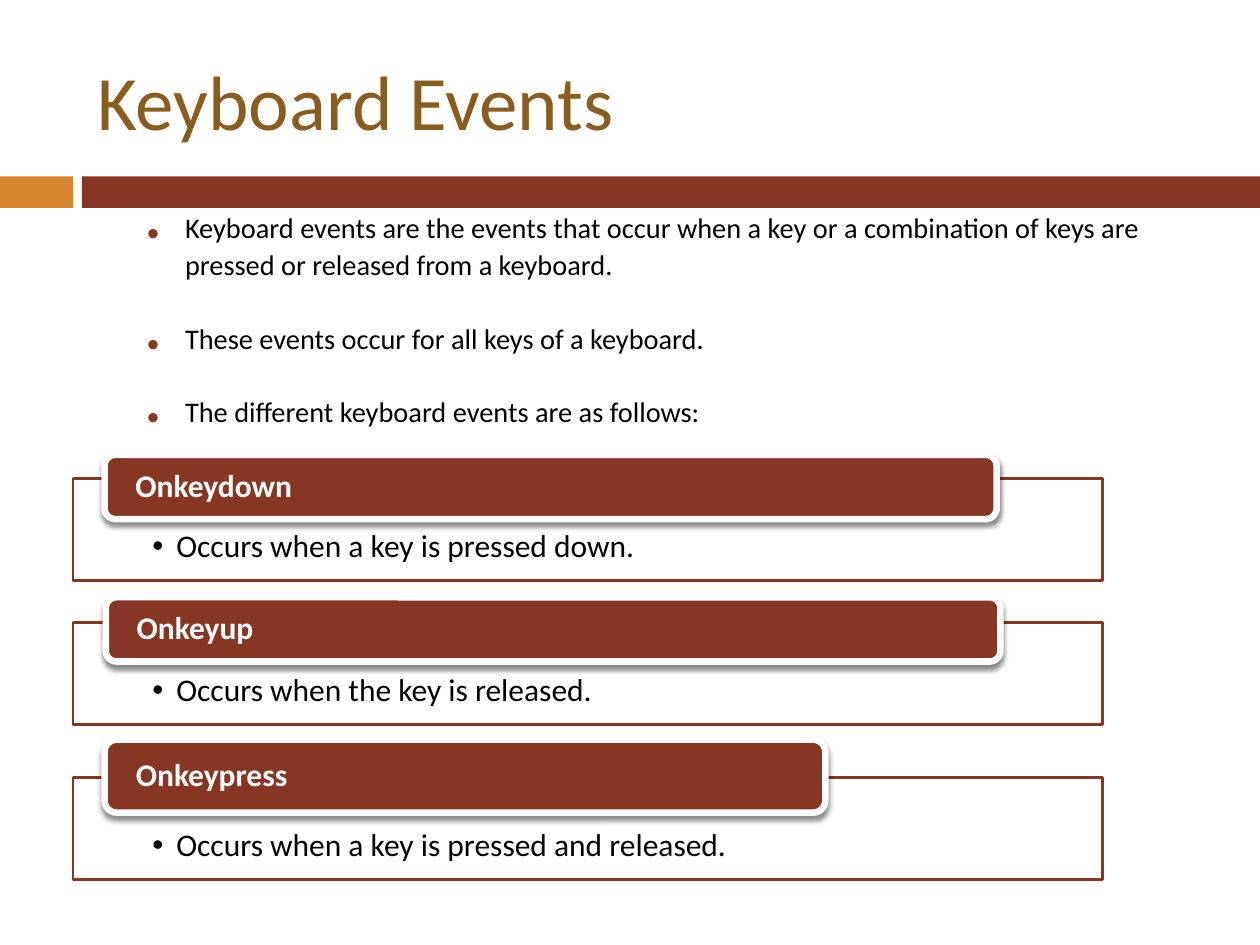
from lxml import etree
from pptx import Presentation
from pptx.dml.color import RGBColor
from pptx.enum.shapes import MSO_SHAPE
from pptx.enum.text import MSO_ANCHOR, PP_ALIGN
from pptx.oxml.ns import qn
from pptx.util import Inches, Pt

RECT = MSO_SHAPE.RECTANGLE
ROUNDED = MSO_SHAPE.ROUNDED_RECTANGLE
LEFT = PP_ALIGN.LEFT
TOP, MIDDLE = MSO_ANCHOR.TOP, MSO_ANCHOR.MIDDLE

RUST = RGBColor(0x87, 0x36, 0x24)
ORANGE = RGBColor(0xD6, 0x86, 0x2D)
BROWN = RGBColor(0x89, 0x5D, 0x1D)
WHITE = RGBColor(0xFF, 0xFF, 0xFF)
BLACK = RGBColor(0x00, 0x00, 0x00)

POINTS = [
    "Keyboard events are the events that occur when a key or a combination of keys are pressed or released from a keyboard.",
    "These events occur for all keys of a keyboard.",
    "The different keyboard events are as follows:",
]
EVENTS = [
    ("Onkeydown", "Occurs when a key is pressed down.", 3.8, (0.83, 3.61, 7.08, 0.51)),
    ("Onkeyup", "Occurs when the key is released.", 4.94, (0.84, 4.74, 7.1, 0.51)),
    ("Onkeypress", "Occurs when a key is pressed and released.", 6.17, (0.83, 5.87, 5.72, 0.58)),
]


def add_xml(parent, tag, **attributes):
    return etree.SubElement(parent, qn(tag), attributes)


class SlideBuilder:
    font = "Calibri"

    def __init__(self, slide):
        self.slide = slide

    def style(self, p, size, color, bold=False):
        p.alignment = LEFT
        p.font.name = self.font
        p.font.size = Pt(size)
        p.font.color.rgb = color
        p.font.bold = bold

    def bullet(self, p, margin, hanging, color, percent):
        pPr = p._p.get_or_add_pPr()
        pPr.set("marL", str(Inches(margin)))
        pPr.set("indent", str(-Inches(hanging)))
        add_xml(add_xml(pPr, "a:buClr"), "a:srgbClr", val=str(color))
        add_xml(pPr, "a:buSzPct", val=str(percent * 1000))
        add_xml(pPr, "a:buFont", typeface="Arial")
        add_xml(pPr, "a:buChar", char="•")

    def title(self, text, box):
        sp = self.slide.shapes.title
        sp.left, sp.top, sp.width, sp.height = map(Inches, box)
        tf = sp.text_frame
        tf.text = text
        tf.vertical_anchor = MIDDLE
        self.style(tf.paragraphs[0], 44, BROWN)

    def block(self, kind, box, fill, line=None, weight=0):
        sp = self.slide.shapes.add_shape(kind, *map(Inches, box))
        sp.shadow.inherit = False
        sp.fill.solid()
        sp.fill.fore_color.rgb = fill
        if line is None:
            sp.line.fill.background()
        else:
            sp.line.color.rgb = line
            sp.line.width = Pt(weight)
        return sp

    def soft_shadow(self, sp):
        effects = sp._element.spPr.find(qn("a:effectLst"))
        shadow = add_xml(effects, "a:outerShdw", blurRad=str(Pt(3)), dist=str(Pt(2.4)),
                         dir="5400000", rotWithShape="0")
        color = add_xml(shadow, "a:srgbClr", val=str(BLACK))
        add_xml(color, "a:alpha", val="45000")

    def label(self, sp, text, insets, anchor):
        tf = sp.text_frame
        tf.word_wrap = True
        tf.vertical_anchor = anchor
        tf.margin_left, tf.margin_top, tf.margin_right, tf.margin_bottom = map(Inches, insets)
        p = tf.paragraphs[0]
        p.text = text
        p.line_spacing = 0.9
        return p

    def bullet_list(self, points, box):
        tf = self.slide.shapes.add_textbox(*map(Inches, box)).text_frame
        tf.word_wrap = True
        for i, text in enumerate(points):
            p = tf.add_paragraph() if i else tf.paragraphs[0]
            p.text = text
            p.line_spacing = Pt(21)
            p.space_before = Pt(21 if i else 0)
            self.bullet(p, 0.7, 0.3, RUST, 70)
            self.style(p, 28, BLACK)
            p._p.pPr.find(qn("a:defRPr")).set("baseline", "30000")

    def event(self, name, description, top, header_box):
        panel = self.block(RECT, (0.58, top, 8.17, 0.81), WHITE, RUST, 1.5)
        p = self.label(panel, description, (0.63, 0.41, 0.63, 0.14), TOP)
        self.bullet(p, 0.19, 0.19, BLACK, 100)
        self.style(p, 18, BLACK)
        header = self.block(ROUNDED, header_box, RUST, WHITE, 3.75)
        self.soft_shadow(header)
        p = self.label(header, name, (0.22, 0, 0.22, 0), MIDDLE)
        self.style(p, 18, WHITE, bold=True)


def main():
    prs = Presentation()
    prs.slide_width, prs.slide_height = Inches(10), Inches(7.5)
    s = SlideBuilder(prs.slides.add_slide(prs.slide_layouts[5]))
    s.block(RECT, (0, 1.4, 0.58, 0.25), ORANGE)
    s.block(RECT, (0.65, 1.4, 9.35, 0.25), RUST)
    s.title("Keyboard Events", (0.67, 0.25, 8.92, 1.08))
    s.bullet_list(POINTS, (0.67, 1.75, 8.92, 4.92))
    for event in EVENTS:
        s.event(*event)
    prs.save("out.pptx")


if __name__ == "__main__":
    main()
